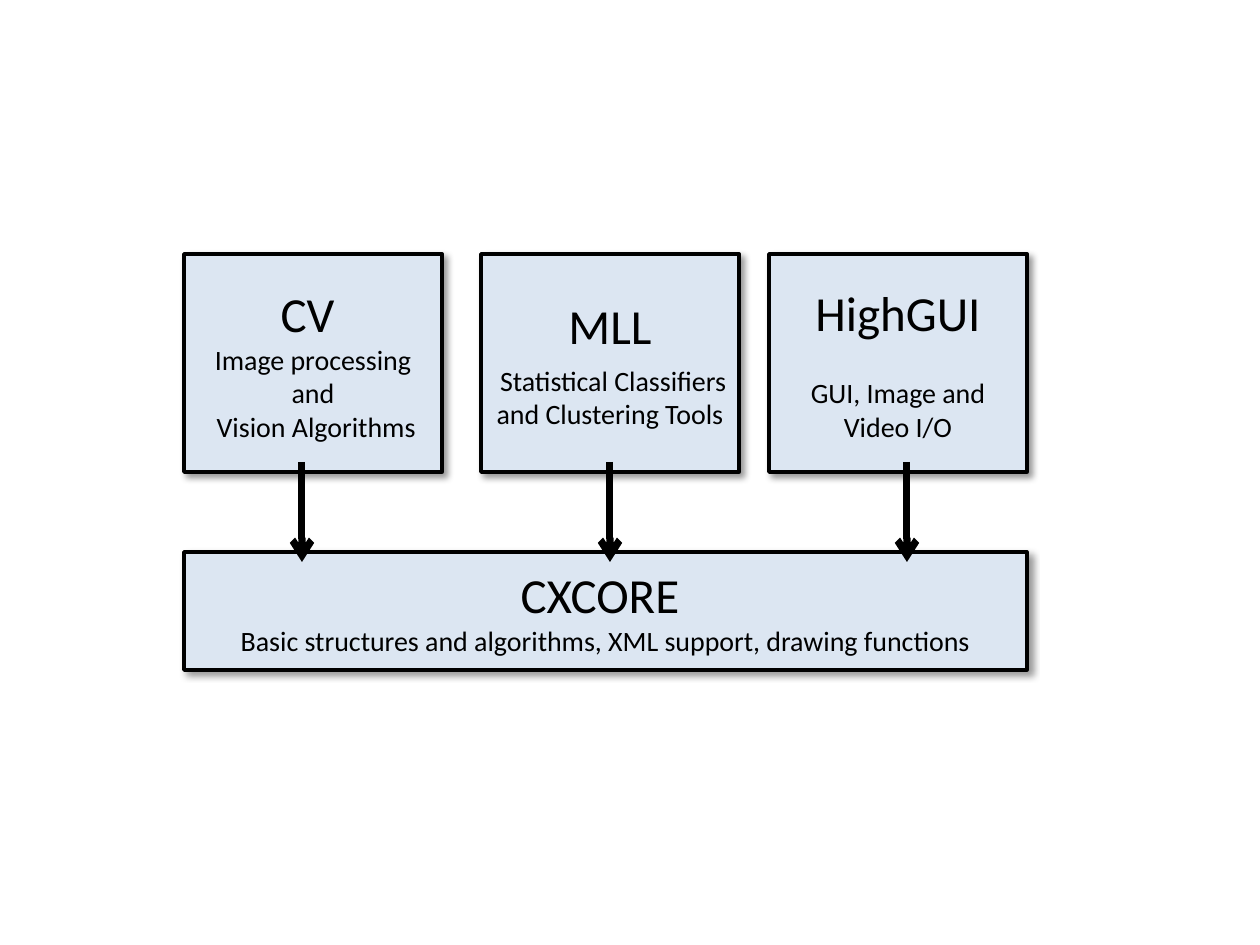
import dataclasses

import lxml.etree
import pptx
import pptx.dml.color
import pptx.enum.shapes
import pptx.enum.text
import pptx.oxml.ns
import pptx.util

SCALE = 914400 / 126  # EMU in one px


def px(n):
    return pptx.util.Emu(round(n * SCALE))


def add(node, tag, **attrs):
    return lxml.etree.SubElement(node, pptx.oxml.ns.qn(tag), attrs)


@dataclasses.dataclass(frozen=True)
class Theme:
    font: str = "Calibri"
    ink: str = "000000"
    fill: str = "DCE6F2"
    head: int = 28
    body: int = 16
    edge: int = 2
    arrow: int = 4


class Deck:
    def __init__(self, theme):
        self.theme = theme
        self.prs = pptx.Presentation()
        self.prs.slide_width, self.prs.slide_height = px(1260), px(945)
        self.slide = self.prs.slides.add_slide(self.prs.slide_layouts[6])

    def stroke(self, line, width):
        line.color.rgb = pptx.dml.color.RGBColor.from_string(self.theme.ink)
        line.width = pptx.util.Pt(width)

    def shade(self, shape):
        shape.shadow.inherit = False
        effects = shape.element.spPr.find(pptx.oxml.ns.qn("a:effectLst"))
        outer = add(effects, "a:outerShdw", blurRad=str(pptx.util.Pt(4)),
                    dist=str(pptx.util.Pt(3)), dir="2700000",
                    algn="tl", rotWithShape="0")
        color = add(outer, "a:srgbClr", val=self.theme.ink)
        add(color, "a:alpha", val="40000")

    def box(self, left, top, width, height, lines, gap=0):
        """Draw a module: a heading, then body lines set gap points below."""
        look = self.theme
        shape = self.slide.shapes.add_shape(
            pptx.enum.shapes.MSO_SHAPE.RECTANGLE,
            px(left), px(top), px(width), px(height))
        shape.fill.solid()
        shape.fill.fore_color.rgb = pptx.dml.color.RGBColor.from_string(look.fill)
        self.stroke(shape.line, look.edge)
        self.shade(shape)
        frame = shape.text_frame
        frame.word_wrap = True
        frame.vertical_anchor = pptx.enum.text.MSO_ANCHOR.MIDDLE
        frame.text = "\n".join(lines)
        for i, para in enumerate(frame.paragraphs):
            para.alignment = pptx.enum.text.PP_ALIGN.CENTER
            if i == 1:
                para.space_before = pptx.util.Pt(gap)
            for run in para.runs:
                run.font.name = look.font
                run.font.size = pptx.util.Pt(look.body if i else look.head)
                run.font.color.rgb = pptx.dml.color.RGBColor.from_string(look.ink)

    def arrow(self, x, top, bottom):
        link = self.slide.shapes.add_connector(
            pptx.enum.shapes.MSO_CONNECTOR.STRAIGHT,
            px(x), px(top), px(x), px(bottom))
        self.stroke(link.line, self.theme.arrow)
        props = link.element.spPr
        add(props.find(pptx.oxml.ns.qn("a:ln")), "a:tailEnd", type="arrow")
        add(props, "a:effectLst")

    def save(self):
        self.prs.save("out.pptx")


def main():
    deck = Deck(Theme())

    # Upper modules: left edge, arrow x, gap under the heading, text
    parts = [
        (184, 302, 0, ["CV ", "Image processing and", " Vision Algorithms"]),
        (481, 610, 5, ["MLL", " Statistical Classifiers and Clustering Tools"]),
        (769, 907, 19.5, ["HighGUI", "GUI, Image and Video I/O"]),
    ]
    for left, _, gap, lines in parts:
        deck.box(left, 254, 258, 218, lines, gap)

    # Shared core below
    deck.box(184, 552, 843, 118, [
        "CXCORE ",
        "Basic structures and algorithms, XML support, drawing functions"])

    # Arrows from each module to the core
    for _, x, _, _ in parts:
        deck.arrow(x, 462, 562)

    deck.save()


if __name__ == "__main__":
    main()
